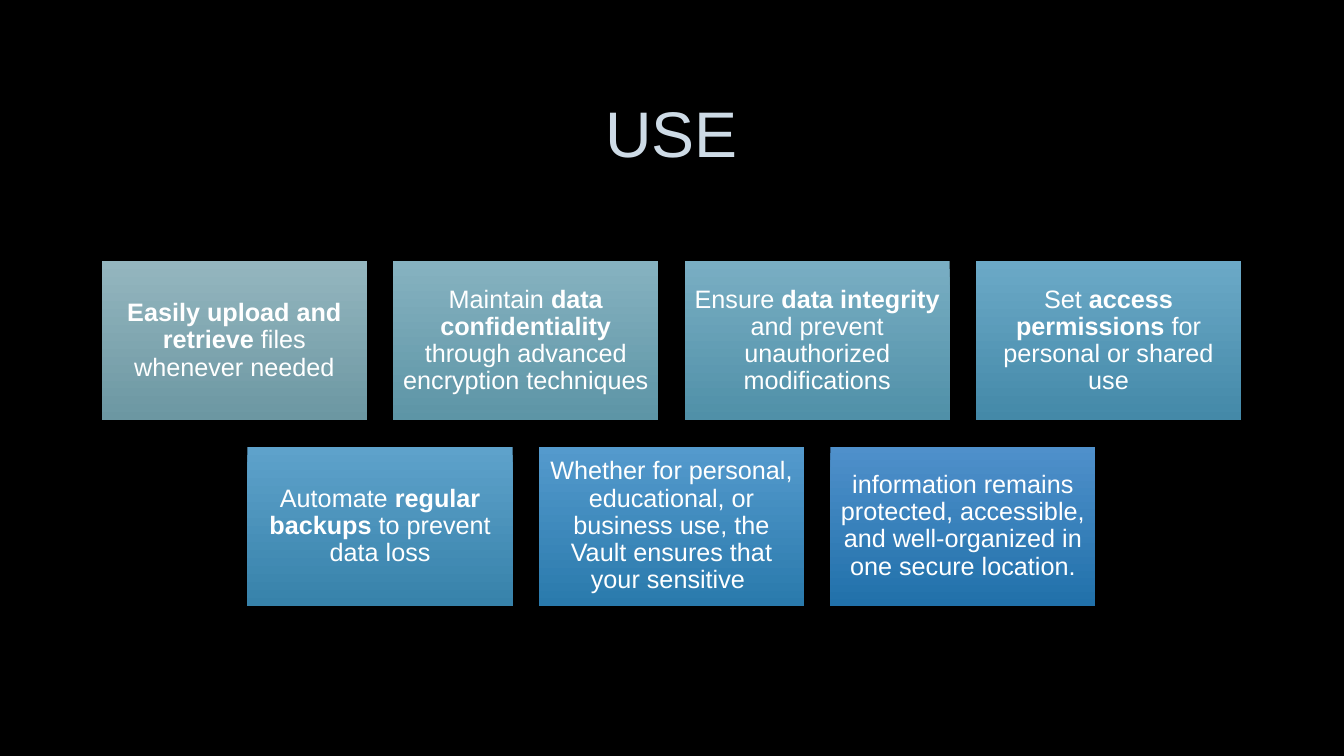
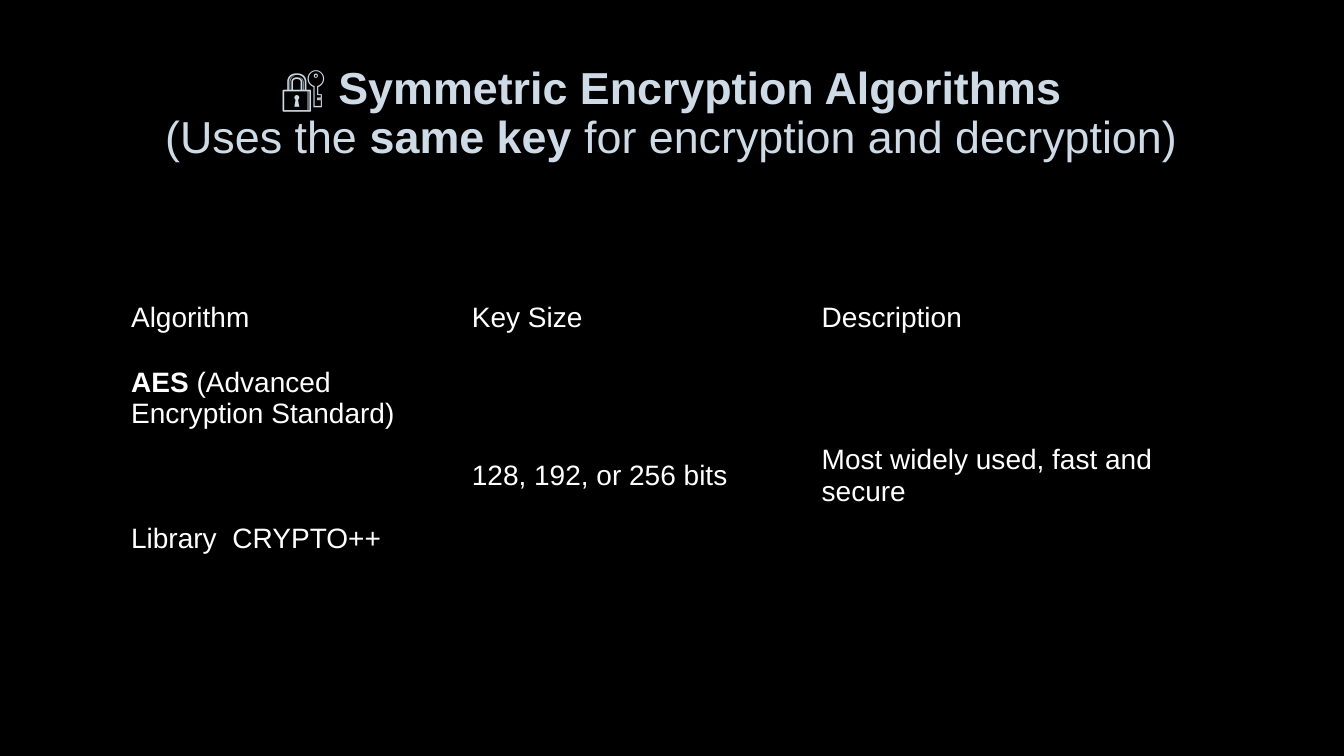
import dataclasses

import pptx
import pptx.dml.color
import pptx.enum.shapes
import pptx.enum.text
import pptx.util

Inches = pptx.util.Inches
Pt = pptx.util.Pt
ALIGN = pptx.enum.text.PP_ALIGN
ANCHOR = pptx.enum.text.MSO_ANCHOR


@dataclasses.dataclass(frozen=True)
class Theme:
    font: str = "Arial"
    background: str = "000000"
    title: str = "CEDBE6"
    body: str = "FFFFFF"
    title_size: int = 46
    long_title_size: int = 32
    card_size: int = 18
    table_size: int = 20
    line_spacing: float = 0.9
    plain_table_style: str = "{2D5ABB26-0587-4C30-8999-92F81FD0307C}"


THEME = Theme()
SLIDE_WIDTH, SLIDE_HEIGHT = 13.33, 7.5
CONTENT_LEFT, CONTENT_WIDTH = 1, 11.32
CARD_WIDTH, CARD_HEIGHT, CARD_GAP = 2.63, 1.58, 0.26
CARDS_TOP = 2.59

USE_ROWS = [
    [
        ("94B6BF", "6C97A2", "*Easily upload and retrieve* files whenever needed"),
        ("86B2C0", "5D95A6", "Maintain *data confidentiality* through advanced encryption techniques"),
        ("79AEC3", "5090A8", "Ensure *data integrity* and prevent unauthorized modifications"),
        ("6BA9C7", "4489A8", "Set *access permissions* for personal or shared use"),
    ],
    [
        ("5EA2CB", "3782AA", "Automate *regular backups* to prevent data loss"),
        ("549ACD", "2A7AAC", "Whether for personal, educational, or business use, "
                             "the Vault ensures that your sensitive "),
        ("4F90CB", "2171AA", "information remains protected, accessible, "
                             "and well-organized in one secure location."),
    ],
]

ALGORITHM_ROWS = [
    [["Algorithm"], ["Key Size"], ["Description"]],
    [
        ["*AES* (Advanced Encryption Standard)", "Library  CRYPTO++"],
        ["128, 192, or 256 bits"],
        ["Most widely used, fast and secure"],
    ],
]
COLUMN_WIDTHS = [3.38, 3.47, 4.47]
ROW_HEIGHTS = [0.67, 2.46]
LIBRARY_GAP = 67


def rgb(value):
    return pptx.dml.color.RGBColor.from_string(value)


def add_runs(paragraph, marked_text, size, color):
    for index, part in enumerate(marked_text.split("*")):
        if part:
            run = paragraph.add_run()
            run.text = part
            run.font.name = THEME.font
            run.font.size = Pt(size)
            run.font.bold = index % 2 == 1
            run.font.color.rgb = rgb(color)


def write_lines(frame, lines, size, color, align, spacing=None):
    frame.word_wrap = True
    for index, line in enumerate(lines):
        paragraph = frame.add_paragraph() if index else frame.paragraphs[0]
        paragraph.alignment = align
        if spacing:
            paragraph.line_spacing = spacing
        add_runs(paragraph, line, size, color)


def set_margins(target, left, top, right, bottom):
    target.margin_left = Inches(left)
    target.margin_top = Inches(top)
    target.margin_right = Inches(right)
    target.margin_bottom = Inches(bottom)


def add_slide(presentation, title_lines, title_size, bottom_margin=0.05):
    slide = presentation.slides.add_slide(presentation.slide_layouts[6])
    slide.background.fill.solid()
    slide.background.fill.fore_color.rgb = rgb(THEME.background)
    title = slide.shapes.add_textbox(
        Inches(CONTENT_LEFT), Inches(0.67), Inches(CONTENT_WIDTH), Inches(1.38)
    ).text_frame
    set_margins(title, 0.1, 0.05, 0.1, bottom_margin)
    title.vertical_anchor = ANCHOR.MIDDLE
    write_lines(title, title_lines, title_size, THEME.title, ALIGN.CENTER, THEME.line_spacing)
    return slide


def add_card(slide, left, top, top_color, bottom_color, text):
    card = slide.shapes.add_shape(
        pptx.enum.shapes.MSO_SHAPE.RECTANGLE,
        Inches(left), Inches(top), Inches(CARD_WIDTH), Inches(CARD_HEIGHT),
    )
    card.shadow.inherit = False
    card.line.fill.background()
    card.fill.gradient()
    card.fill.gradient_angle = 270
    for stop, color in zip(card.fill.gradient_stops, (top_color, bottom_color)):
        stop.color.rgb = rgb(color)
    set_margins(card.text_frame, 0.07, 0.07, 0.07, 0.07)
    card.text_frame.vertical_anchor = ANCHOR.MIDDLE
    write_lines(card.text_frame, [text], THEME.card_size, THEME.body,
                ALIGN.CENTER, THEME.line_spacing)


def add_card_rows(slide, rows):
    for row_index, cards in enumerate(rows):
        row_width = len(cards) * (CARD_WIDTH + CARD_GAP) - CARD_GAP
        row_left = CONTENT_LEFT + (CONTENT_WIDTH - row_width) / 2
        top = CARDS_TOP + row_index * (CARD_HEIGHT + CARD_GAP)
        for column, card in enumerate(cards):
            add_card(slide, row_left + column * (CARD_WIDTH + CARD_GAP), top, *card)


def add_algorithm_table(slide, rows):
    table = slide.shapes.add_table(
        len(rows), len(COLUMN_WIDTHS), Inches(CONTENT_LEFT), Inches(2.82),
        Inches(CONTENT_WIDTH), Inches(sum(ROW_HEIGHTS)),
    ).table
    table.first_row = False
    table.horz_banding = False
    table._tbl.tblPr[0].text = THEME.plain_table_style
    for column, width in zip(table.columns, COLUMN_WIDTHS):
        column.width = Inches(width)
    for row, height, contents in zip(table.rows, ROW_HEIGHTS, rows):
        row.height = Inches(height)
        for cell, lines in zip(row.cells, contents):
            cell.fill.background()
            set_margins(cell, 0.3, 0.15, 0.23, 0.15)
            cell.vertical_anchor = ANCHOR.TOP if len(lines) > 1 else ANCHOR.MIDDLE
            write_lines(cell.text_frame, lines, THEME.table_size, THEME.body, ALIGN.LEFT)
            for paragraph in cell.text_frame.paragraphs[1:]:
                paragraph.space_before = Pt(LIBRARY_GAP)


def main():
    presentation = pptx.Presentation()
    presentation.slide_width = Inches(SLIDE_WIDTH)
    presentation.slide_height = Inches(SLIDE_HEIGHT)

    use_slide = add_slide(presentation, ["USE"], THEME.title_size)
    add_card_rows(use_slide, USE_ROWS)

    algorithm_slide = add_slide(
        presentation,
        ["*🔐 Symmetric Encryption Algorithms*",
         "(Uses the *same key* for encryption and decryption)"],
        THEME.long_title_size,
        bottom_margin=0.5,
    )
    add_algorithm_table(algorithm_slide, ALGORITHM_ROWS)

    presentation.save("out.pptx")


if __name__ == "__main__":
    main()
